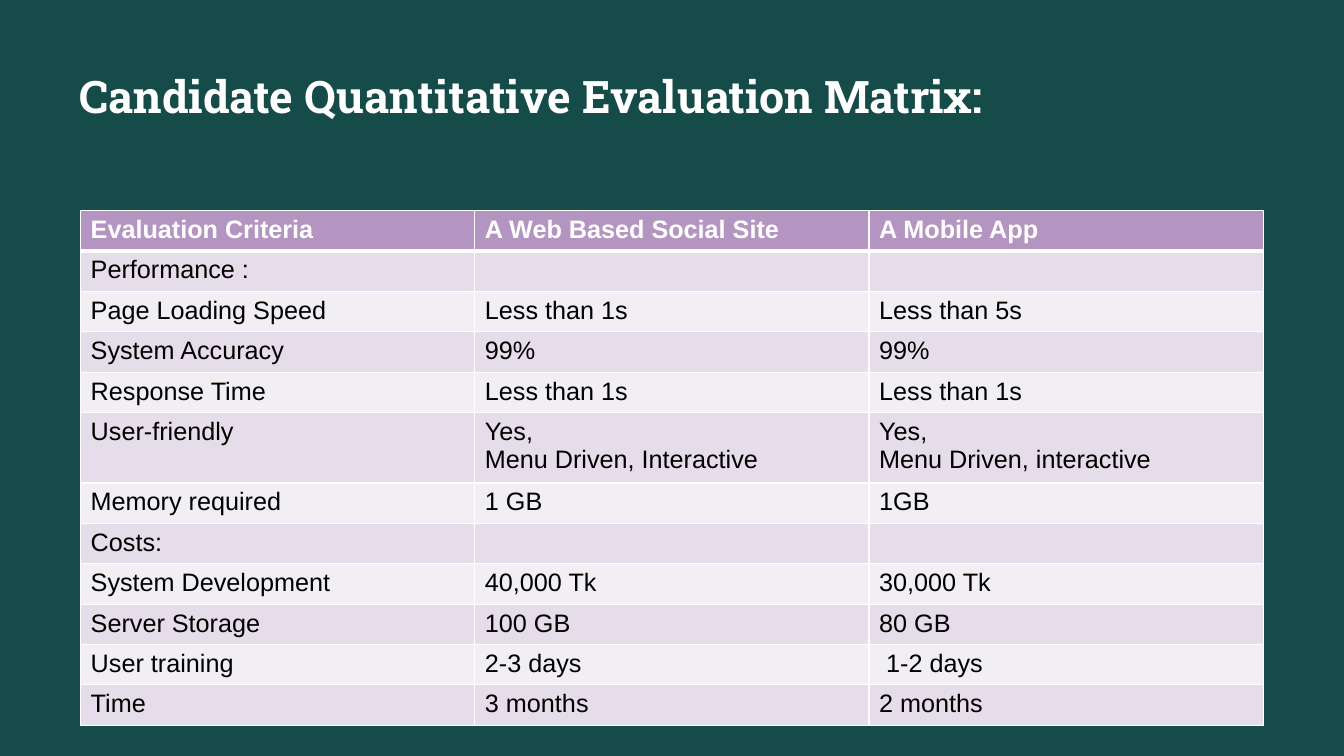
from typing import NamedTuple

from lxml import etree
from pptx import Presentation
from pptx.dml.color import RGBColor
from pptx.enum.text import MSO_ANCHOR
from pptx.oxml.ns import qn
from pptx.slide import Slide
from pptx.table import _Cell
from pptx.util import Inches, Pt

TOP = MSO_ANCHOR.TOP
COLORS = {
    "page": "154C4A",
    "header": "B495C2",
    "odd": "E5DDE9",
    "even": "F2EFF4",
    "white": "FFFFFF",
    "black": "000000",
}
ROW_HEIGHT = 0.38
TWO_LINE_HEIGHT = 0.66


class Criterion(NamedTuple):
    name: str
    web_site: str = ""
    mobile_app: str = ""


HEADER = Criterion("Evaluation Criteria", "A Web Based Social Site", "A Mobile App")
CRITERIA = [
    Criterion("Performance :"),
    Criterion("Page Loading Speed", "Less than 1s", "Less than 5s"),
    Criterion("System Accuracy", "99%", "99%"),
    Criterion("Response Time", "Less than 1s", "Less than 1s"),
    Criterion(
        "User-friendly",
        "Yes,\nMenu Driven, Interactive",
        "Yes,\nMenu Driven, interactive",
    ),
    Criterion("Memory required", "1 GB", "1GB"),
    Criterion("Costs:"),
    Criterion("System Development", "40,000 Tk", "30,000 Tk"),
    Criterion("Server Storage", "100 GB", "80 GB"),
    Criterion("User training", "2-3 days", " 1-2 days"),
    Criterion("Time", "3 months", "2 months"),
]


def rgb(name: str) -> RGBColor:
    return RGBColor.from_string(COLORS[name])


def style_text(frame, name: str, size: int, color: str, bold: bool) -> None:
    for para in frame.paragraphs:
        para.font.name = name
        para.font.size = Pt(size)
        para.font.bold = bold
        para.font.color.rgb = rgb(color)


def add_borders(cell: _Cell, top: int, bottom: int) -> None:
    """Draw white cell borders; top and bottom widths are in points."""
    properties = cell._tc.get_or_add_tcPr()
    for side, width in (("L", 1), ("R", 1), ("T", top), ("B", bottom)):
        line = etree.SubElement(properties, qn(f"a:ln{side}"), w=str(Pt(width)))
        fill = etree.SubElement(line, qn("a:solidFill"))
        etree.SubElement(fill, qn("a:srgbClr"), val=COLORS["white"])


def add_title(page: Slide) -> None:
    box = page.shapes.add_textbox(
        Inches(0.79), Inches(0.68), Inches(11.72), Inches(0.91)
    )
    frame = box.text_frame
    frame.word_wrap = True
    frame.vertical_anchor = TOP
    frame.margin_left = frame.margin_right = 0
    frame.margin_top = frame.margin_bottom = 0
    frame.text = "Candidate Quantitative Evaluation Matrix:"
    style_text(frame, "Roboto Slab", 32, "white", True)


def add_matrix(page: Slide) -> None:
    rows = [HEADER, *CRITERIA]
    heights = [
        TWO_LINE_HEIGHT if "\n" in row.web_site else ROW_HEIGHT for row in rows
    ]
    table = page.shapes.add_table(
        len(rows), len(HEADER),
        Inches(0.8), Inches(2.09), Inches(11.73), Inches(sum(heights)),
    ).table
    table.horz_banding = False
    for column in table.columns:
        column.width = Inches(3.91)
    for index, (row, height) in enumerate(zip(rows, heights)):
        is_header = index == 0
        band = "header" if is_header else "odd" if index % 2 else "even"
        table.rows[index].height = Inches(height)
        for cell, text in zip(table.rows[index].cells, row):
            cell.text = text
            style_text(
                cell.text_frame, "Arial", 18,
                "white" if is_header else "black", is_header,
            )
            add_borders(cell, 3 if index == 1 else 1, 3 if is_header else 1)
            cell.fill.solid()
            cell.fill.fore_color.rgb = rgb(band)


def main() -> None:
    deck = Presentation()
    deck.slide_width = Inches(13.33)
    deck.slide_height = Inches(7.5)
    page = deck.slides.add_slide(deck.slide_layouts[6])
    page.background.fill.solid()
    page.background.fill.fore_color.rgb = rgb("page")
    add_title(page)
    add_matrix(page)
    deck.save("out.pptx")


if __name__ == "__main__":
    main()
